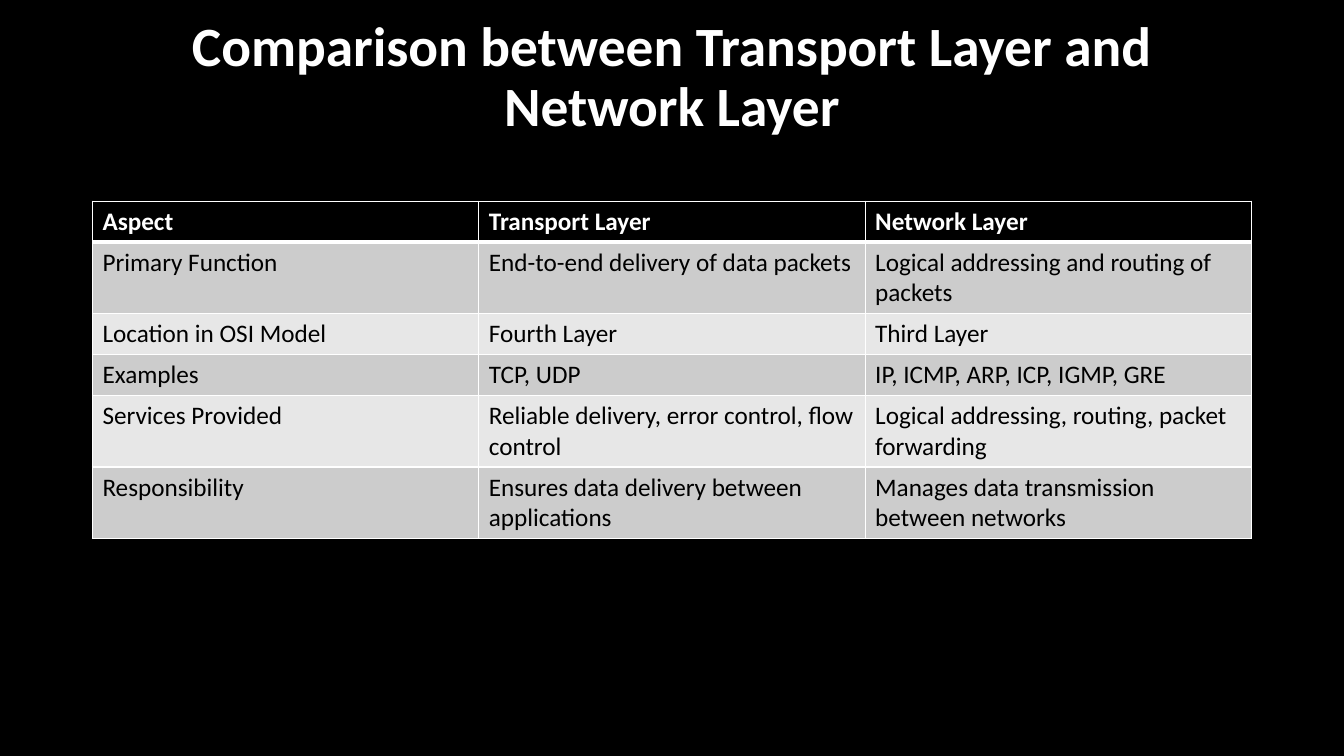
from dataclasses import dataclass

from lxml import etree
from pptx import Presentation
from pptx.dml.color import RGBColor
from pptx.enum.text import MSO_ANCHOR, MSO_AUTO_SIZE, PP_ALIGN
from pptx.oxml.ns import qn
from pptx.util import Cm, Pt

MIDDLE = MSO_ANCHOR.MIDDLE
NO_AUTOFIT = MSO_AUTO_SIZE.NONE
CENTER = PP_ALIGN.CENTER


@dataclass(frozen=True)
class Theme:
    font: str = "Calibri"
    black: str = "000000"
    white: str = "FFFFFF"
    bands: tuple = ("CCCCCC", "E7E7E7")
    title_size: float = 39.6
    cell_size: float = 18
    thin: float = 1
    thick: float = 3


theme = Theme()


def style_paragraph(p, size, color, bold):
    p.font.name = theme.font
    p.font.size = Pt(size)
    p.font.bold = bold
    p.font.color.rgb = RGBColor.from_string(color)


def add_border(cell, side, width):
    tcPr = cell._tc.get_or_add_tcPr()
    ln = etree.SubElement(tcPr, qn(f"a:ln{side}"), w=str(Pt(width)))
    fill = etree.SubElement(ln, qn("a:solidFill"))
    etree.SubElement(fill, qn("a:srgbClr"), val=theme.white)


# Slide with black background
prs = Presentation()
prs.slide_width, prs.slide_height = Cm(33.87), Cm(19.05)
s = prs.slides.add_slide(prs.slide_layouts[5])
s.background.fill.solid()
s.background.fill.fore_color.rgb = RGBColor.from_string(theme.black)

left, width = Cm(2.33), Cm(29.21)

# Title, raised by a deep bottom inset
title = s.shapes.title
title.left, title.top, title.width, title.height = left, Cm(0.91), width, Cm(3.68)
tf = title.text_frame
tf.text = "Comparison between Transport Layer and Network Layer"
tf.word_wrap = True
tf.auto_size = NO_AUTOFIT
tf.vertical_anchor = MIDDLE
tf.margin_bottom = Cm(1.65)
p = tf.paragraphs[0]
p.alignment = CENTER
p.line_spacing = 0.9
style_paragraph(p, theme.title_size, theme.white, True)

# Comparison table
rows = [
    ("Aspect", "Transport Layer", "Network Layer"),
    ("Primary Function", "End-to-end delivery of data packets",
     "Logical addressing and routing of packets"),
    ("Location in OSI Model", "Fourth Layer", "Third Layer"),
    ("Examples", "TCP, UDP", "IP, ICMP, ARP, ICP, IGMP, GRE"),
    ("Services Provided", "Reliable delivery, error control, flow control",
     "Logical addressing, routing, packet forwarding"),
    ("Responsibility", "Ensures data delivery between applications",
     "Manages data transmission between networks"),
]
row_height = Cm(1.03)
frame = s.shapes.add_table(len(rows), len(rows[0]), left, Cm(5.07),
                           width, row_height * len(rows))
table = frame.table

for i, texts in enumerate(rows):
    header = i == 0
    fill = theme.black if header else theme.bands[(i - 1) % 2]
    color = theme.white if header else theme.black
    for j, text in enumerate(texts):
        cell = table.cell(i, j)
        cell.text = text
        style_paragraph(cell.text_frame.paragraphs[0], theme.cell_size, color, header)
        # The line under the header is thick, all others thin
        for side in "LRTB":
            under_header = (i, side) in ((0, "B"), (1, "T"))
            add_border(cell, side, theme.thick if under_header else theme.thin)
        cell.fill.solid()
        cell.fill.fore_color.rgb = RGBColor.from_string(fill)

frame.height = Cm(12.09)

prs.save("out.pptx")
